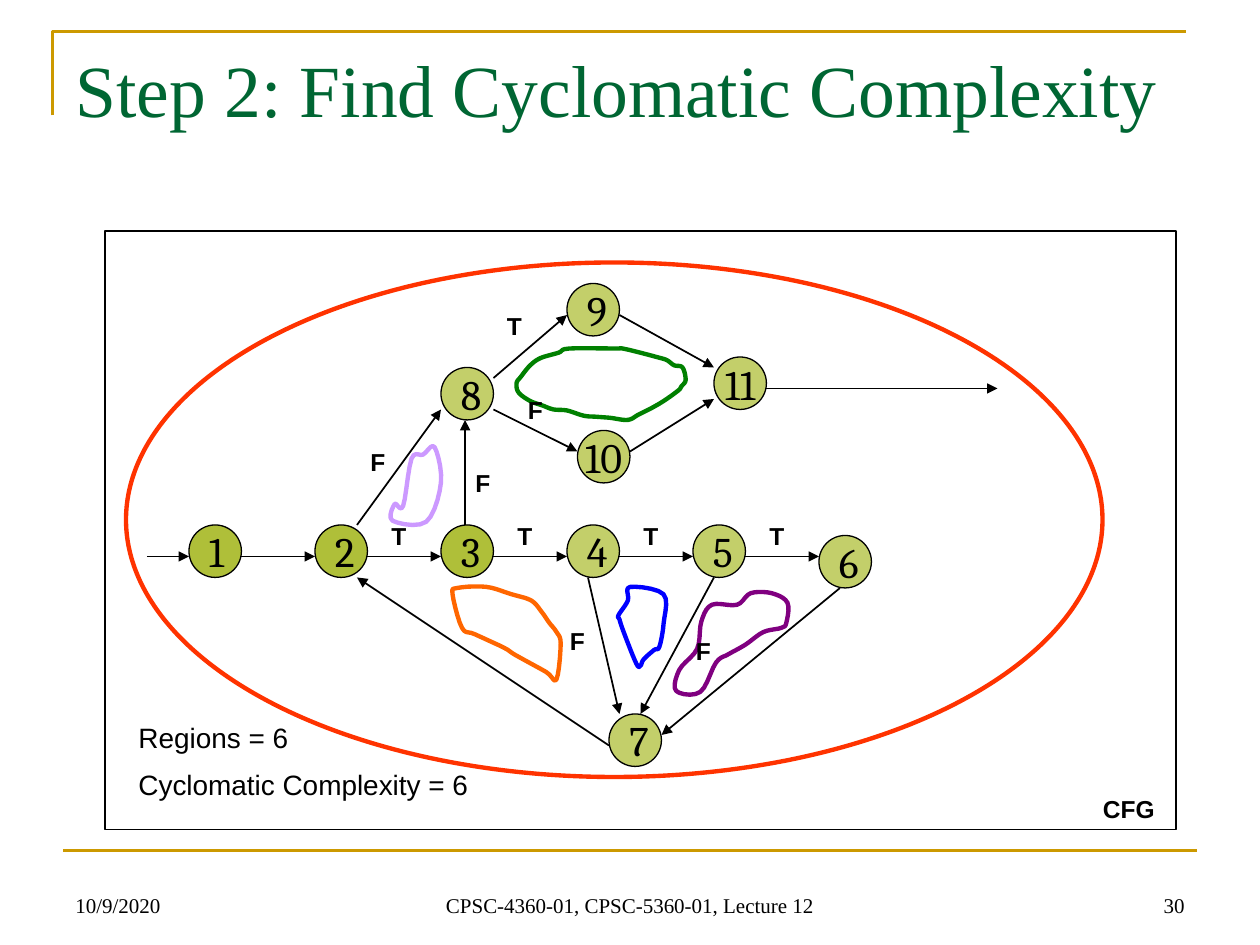
from itertools import pairwise
from typing import NamedTuple

from lxml.etree import SubElement
from pptx import Presentation
from pptx.dml.color import RGBColor
from pptx.enum.shapes import MSO_CONNECTOR, MSO_SHAPE
from pptx.enum.text import MSO_ANCHOR, PP_ALIGN
from pptx.oxml.ns import qn
from pptx.util import Pt

PX = 7620
BLACK, GOLD, OLIVE = "000000", "CC9900", "AFBF39"
LEFT, MID, RIGHT = PP_ALIGN.LEFT, PP_ALIGN.CENTER, PP_ALIGN.RIGHT


class Node(NamedTuple):
    name: str
    x: int
    y: int
    alpha: int = 75


class Edge(NamedTuple):
    x1: int
    y1: int
    x2: int
    y2: int


class Label(NamedTuple):
    text: str
    x: int
    y: int


class Region(NamedTuple):
    color: str
    points: list[tuple[int, int]]


SIDE = 50
NODES = [
    *(Node(str(i + 1), 180 + 120 * i, 500, 100) for i in range(3)),
    *(Node(str(i + 1), 180 + 120 * i, 500) for i in (3, 4)),
    Node("6", 780, 510), Node("7", 580, 680), Node("8", 420, 350),
    Node("9", 540, 270), Node("10", 550, 410), Node("11", 680, 340),
]
EDGES = [
    Edge(140, 530, 180, 530),
    *(Edge(230 + 120 * i, 530, 300 + 120 * i, 530) for i in range(5)),
    Edge(800, 560, 630, 700), Edge(680, 550, 610, 680),
    Edge(560, 550, 590, 680), Edge(580, 710, 340, 550),
    Edge(340, 500, 420, 390), Edge(443, 500, 443, 400),
    Edge(470, 360, 540, 300), Edge(470, 390, 550, 430),
    Edge(590, 300, 680, 350), Edge(600, 430, 680, 380),
    Edge(730, 370, 950, 370),
]
LABELS = [
    *(Label("T", 350 + 120 * i, 490) for i in range(4)),
    Label("T", 460, 290), Label("F", 480, 370), Label("F", 330, 420),
    Label("F", 430, 440), Label("F", 520, 590), Label("F", 640, 600),
]
REGIONS = [
    Region("008000", [
        (642, 348), (635, 343), (625, 340), (610, 336), (593, 332), (586, 332),
        (542, 332), (532, 336), (515, 341), (505, 348), (496, 359), (492, 365),
        (494, 374), (505, 382), (516, 386), (527, 390), (540, 391), (556, 396),
        (568, 397), (581, 398), (598, 400), (608, 395), (620, 389), (632, 382),
        (646, 372), (649, 368), (653, 362), (650, 350)]),
    Region("FF6600", [
        (523, 593), (516, 583), (506, 572), (487, 566), (463, 559), (436, 560),
        (431, 566), (440, 598), (452, 604), (480, 617), (491, 624), (520, 640),
        (530, 647), (534, 613), (530, 602)]),
    Region("0000FF", [
        (606, 632), (594, 602), (590, 590), (589, 586), (598, 572), (600, 559),
        (632, 566), (632, 594), (628, 616), (623, 619), (613, 628), (610, 634)]),
    Region("800080", [
        (702, 576), (715, 565), (735, 565), (750, 574), (749, 593), (744, 598),
        (727, 602), (710, 614), (694, 623), (682, 631), (667, 659), (644, 658),
        (647, 638), (664, 618), (668, 592), (678, 576)]),
    Region("CC99FF", [
        (384, 482), (392, 437), (403, 433), (414, 426), (420, 460), (406, 497),
        (374, 496), (376, 480)]),
]


def rgb(code: str) -> RGBColor:
    return RGBColor.from_string(code)


def smooth(points: list[tuple[int, int]], steps: int = 5) -> list[tuple[float, float]]:
    size = len(points)
    curve = []
    for i in range(size):
        quad = [points[(i + k) % size] for k in (-1, 0, 1, 2)]
        for t in (n / steps for n in range(steps)):
            curve.append(tuple(
                b + t * (c - a) / 2 + t * t * (2 * a - 5 * b + 4 * c - d) / 2
                + t ** 3 * (3 * b - a - 3 * c + d) / 2
                for a, b, c, d in zip(*quad)))
    return curve


def style(shape, color: str, width: float, fill: str | None = None, alpha: int = 100) -> None:
    shape.shadow.inherit = False
    shape.line.color.rgb = rgb(color)
    shape.line.width = Pt(width)
    if fill is None:
        shape.fill.background()
        return
    shape.fill.solid()
    shape.fill.fore_color.rgb = rgb(fill)
    if alpha < 100:
        tint = shape.fill._xPr.find(".//" + qn("a:srgbClr"))
        SubElement(tint, qn("a:alpha"), val=str(alpha * 1000))


def write(shape, text: str, *, size: int, font: str = "Arial", color: str = BLACK,
          bold: bool = False, align=LEFT, anchor=MSO_ANCHOR.TOP,
          wrap: bool = True, gap: int = 0) -> None:
    frame = shape.text_frame
    frame.word_wrap = wrap
    frame.vertical_anchor = anchor
    frame.text = text
    for i, para in enumerate(frame.paragraphs):
        para.alignment = align
        if i and gap:
            para.space_before = Pt(gap)
        para.font.size = Pt(size)
        para.font.name = font
        para.font.bold = bold
        para.font.color.rgb = rgb(color)


def box(slide, x: int, y: int, w: int, h: int):
    return slide.shapes.add_textbox(x * PX, y * PX, w * PX, h * PX)


def form(slide, kind, x: int, y: int, w: int, h: int):
    return slide.shapes.add_shape(kind, x * PX, y * PX, w * PX, h * PX)


def outline(slide, points, color: str, width: float, close: bool) -> None:
    spots = [(x * PX, y * PX) for x, y in points]
    pen = slide.shapes.build_freeform(*spots[0], scale=1.0)
    pen.add_line_segments(spots[1:], close=close)
    style(pen.convert_to_shape(), color, width)


def link(slide, edge: Edge, color: str = BLACK, width: float = 1, arrow: bool = True) -> None:
    line = slide.shapes.add_connector(MSO_CONNECTOR.STRAIGHT, *(v * PX for v in edge))
    line.line.color.rgb = rgb(color)
    line.line.width = Pt(width)
    if arrow:
        SubElement(line.line._get_or_add_ln(), qn("a:tailEnd"), type="triangle")
    SubElement(line._element.spPr, qn("a:effectLst"))


def draw(slide, node: Node) -> None:
    disc = form(slide, MSO_SHAPE.OVAL, node.x, node.y, SIDE, SIDE)
    style(disc, BLACK, 0.75, OLIVE, node.alpha)
    write(disc, node.name, size=24, font="Cambria", wrap=False,
          align=MID if len(node.name) > 1 else LEFT, anchor=MSO_ANCHOR.MIDDLE)


def main() -> None:
    deck = Presentation()
    deck.slide_width, deck.slide_height = 1200 * PX, 900 * PX
    slide = deck.slides.add_slide(deck.slide_layouts[6])

    outline(slide, [(50, 110), (50, 30), (1130, 30)], GOLD, 1.5, False)
    link(slide, Edge(60, 810, 1140, 810), GOLD, 1.5, False)
    serif = "Times New Roman"
    for text, x, w, align in [
        ("10/9/2020", 60, 280, LEFT),
        ("CPSC-4360-01, CPSC-5360-01, Lecture 12", 410, 380, MID),
        ("30", 860, 280, RIGHT),
    ]:
        write(box(slide, x, 820, w, 60), text, size=12, font=serif,
              align=align, anchor=MSO_ANCHOR.BOTTOM)
    write(box(slide, 60, 36, 1080, 150), "Step 2: Find Cyclomatic Complexity",
          size=42, font=serif, color="006633")

    for region in REGIONS:
        outline(slide, smooth(region.points), region.color, 2.5, True)
    for node in NODES:
        draw(slide, node)
    for edge in EDGES:
        link(slide, edge)
    style(form(slide, MSO_SHAPE.RECTANGLE, 100, 220, 1020, 570), BLACK, 1)
    write(box(slide, 1030, 750, 90, 40), "CFG", size=14, bold=True, align=MID)
    for label in LABELS:
        write(box(slide, label.x, label.y, 60, 40), label.text,
              size=14, bold=True, align=MID)
    write(box(slide, 120, 680, 380, 92), "Regions = 6\nCyclomatic Complexity = 6",
          size=16, gap=8)
    style(form(slide, MSO_SHAPE.OVAL, 120, 250, 930, 490), "FF3300", 2.5)
    deck.save("out.pptx")


if __name__ == "__main__":
    main()
